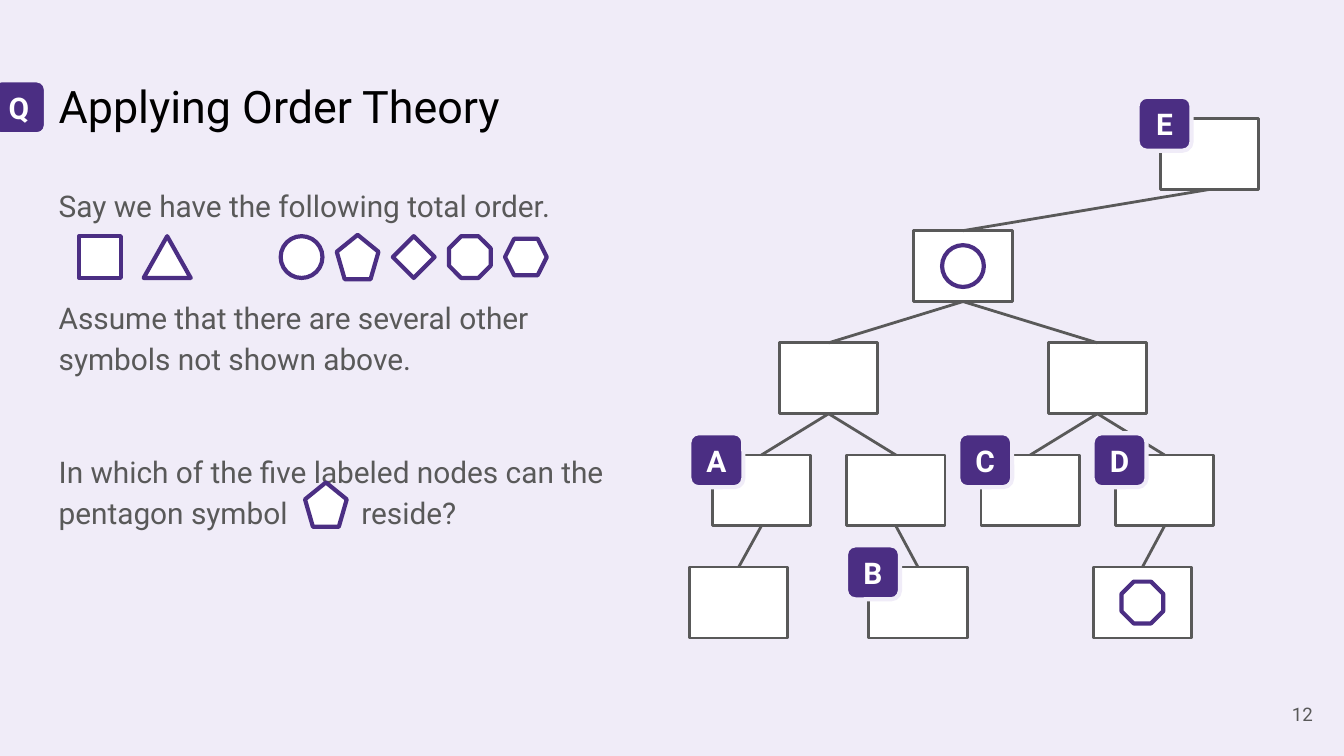
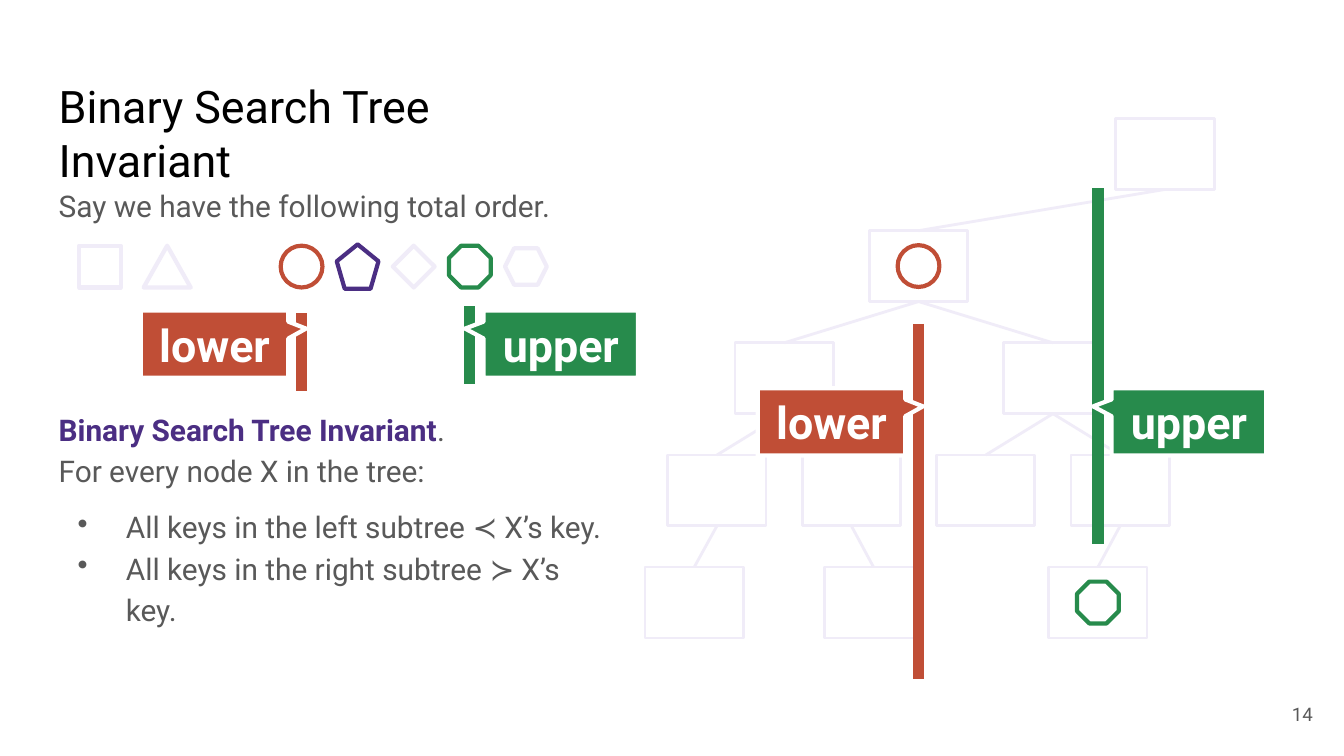
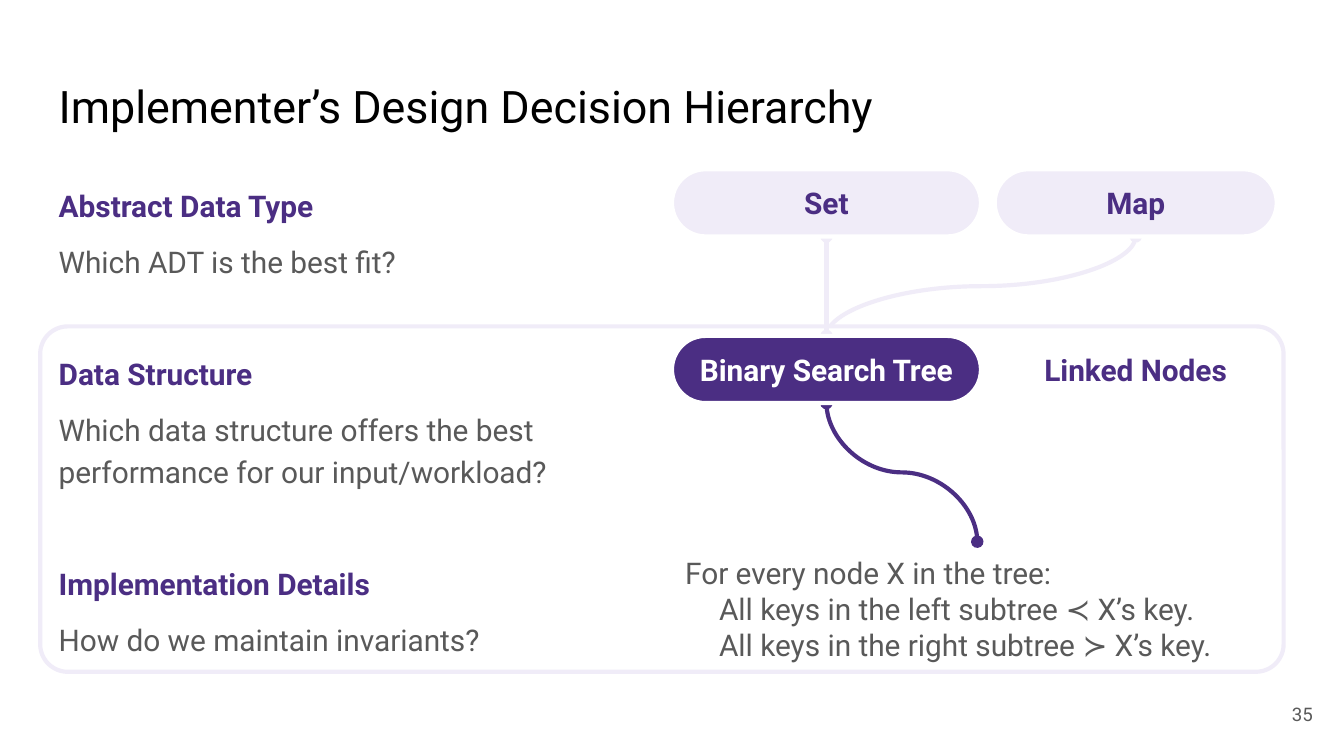
import pptx
import pptx.dml.color
import pptx.enum.shapes
import pptx.enum.text
import pptx.oxml
import pptx.oxml.ns
import pptx.util
from lxml import etree

Cm, Pt = pptx.util.Cm, pptx.util.Pt
SHAPE = pptx.enum.shapes.MSO_SHAPE
CONNECTOR = pptx.enum.shapes.MSO_CONNECTOR
ALIGN = pptx.enum.text.PP_ALIGN
ANCHOR = pptx.enum.text.MSO_ANCHOR
qn = pptx.oxml.ns.qn

# Shared style
FONT = "Roboto"
COLORS = {
    "purple": "4B2E83", "lavender": "F0ECF8", "gray": "595959",
    "red": "C04E36", "green": "278B4C", "white": "FFFFFF", "black": "000000",
}
INSET = 0.25
LEFT, BODY_TOP, HALF_WIDTH, FULL_WIDTH = 0.86, 3.2, 10.97, 23.39
GAP, BLANK_LINE = 8, 30  # points

# Symbols in their total order: preset, width, height, centre in the row
SYMBOLS = {
    "square": (SHAPE.RECTANGLE, 0.79, 0.79, 1.89),
    "triangle": (SHAPE.ISOSCELES_TRIANGLE, 0.89, 0.79, 3.16),
}
for place, (symbol_name, preset, height) in enumerate([
        ("circle", SHAPE.OVAL, 0.79), ("pentagon", SHAPE.REGULAR_PENTAGON, 0.84),
        ("diamond", SHAPE.DIAMOND, 0.79), ("octagon", SHAPE.OCTAGON, 0.79),
        ("hexagon", SHAPE.HEXAGON, 0.69)]):
    SYMBOLS[symbol_name] = (preset, 0.79, height, 5.7 + place * 1.06)

# Tree nodes: offset from the circle's column, level, parent
TREE = {
    "E": (4.66, 0, None),
    "circle": (0, 1, "E"),
    "left": (-2.54, 2, "circle"),
    "right": (2.54, 2, "circle"),
    "A": (-3.81, 3, "left"),
    "left inner": (-1.27, 3, "left"),
    "C": (1.27, 3, "right"),
    "D": (3.81, 3, "right"),
    "A child": (-4.24, 4, "A"),
    "B": (-0.85, 4, "left inner"),
    "octagon": (3.39, 4, "D"),
}
NODE_WIDTH, NODE_HEIGHT, TREE_TOP, LEVEL_PITCH = 1.86, 1.34, 2.24, 2.12


def rgb(color):
    return pptx.dml.color.RGBColor.from_string(COLORS[color])


def add_run(paragraph, text, size, color, bold=False):
    run = paragraph.add_run()
    run.text = text
    run.font.name = FONT
    run.font.size = Pt(size)
    run.font.bold = bold
    run.font.color.rgb = rgb(color)


def prepare_frame(frame, anchor=ANCHOR.TOP):
    frame.word_wrap = True
    frame.vertical_anchor = anchor
    frame.margin_left = frame.margin_right = Cm(INSET)
    frame.margin_top = frame.margin_bottom = Cm(INSET)
    return frame


def add_text_box(slide, left, top, width, height, anchor=ANCHOR.TOP):
    box = slide.shapes.add_textbox(Cm(left), Cm(top), Cm(width), Cm(height))
    return prepare_frame(box.text_frame, anchor)


def next_paragraph(frame):
    first = frame.paragraphs[0]
    return frame.add_paragraph() if first.runs else first


def indent(paragraph, left, hanging=0):
    properties = paragraph._p.get_or_add_pPr()
    properties.set("marL", str(Cm(left)))
    properties.set("indent", str(-Cm(hanging)))
    return properties


def add_body_line(frame, text, color="gray", bold=False, before=GAP):
    paragraph = next_paragraph(frame)
    paragraph.line_spacing = 1.15
    paragraph.space_before = Pt(before if paragraph is not frame.paragraphs[0]
                               and len(frame.paragraphs) > 1 else 0)
    add_run(paragraph, text, 16, color, bold)
    return paragraph


def add_bullet(frame, text, before):
    paragraph = add_body_line(frame, text, before=before)
    properties = indent(paragraph, 1.27, 0.91)
    bullet_color = etree.SubElement(properties, qn("a:buClr"))
    etree.SubElement(bullet_color, qn("a:srgbClr"), val=COLORS["gray"])
    etree.SubElement(properties, qn("a:buChar"), char="•")


def add_tab_stop(paragraph, position):
    tabs = etree.SubElement(paragraph._p.get_or_add_pPr(), qn("a:tabLst"))
    etree.SubElement(tabs, qn("a:tab"), pos=str(Cm(position)), algn="l")


def add_figure(slide, preset, left, top, width, height, fill, line, weight=2.25):
    figure = slide.shapes.add_shape(preset, Cm(left), Cm(top), Cm(width), Cm(height))
    figure.shadow.inherit = False
    figure.fill.solid()
    figure.fill.fore_color.rgb = rgb(fill)
    figure.line.color.rgb = rgb(line)
    figure.line.width = Pt(weight)
    return figure


def add_label(figure, text, size=16, color="white"):
    paragraph = prepare_frame(figure.text_frame, ANCHOR.MIDDLE).paragraphs[0]
    paragraph.alignment = ALIGN.CENTER
    add_run(paragraph, text, size, color, bold=True)


def add_line(slide, kind, x1, y1, x2, y2, color, weight):
    line = slide.shapes.add_connector(kind, Cm(x1), Cm(y1), Cm(x2), Cm(y2))
    line.line.color.rgb = rgb(color)
    line.line.width = Pt(weight)
    etree.SubElement(line._element.spPr, qn("a:effectLst"))
    return line


def add_drop_curve(slide, x1, y1, x2, y2, color):
    """S-curve that leaves its upper end and meets its lower end vertically."""
    mid_x, mid_y = (x1 + x2) / 2, (y1 + y2) / 2
    half_drop, half_shift = (y2 - y1) / 2, (x2 - x1) / 2
    curve = add_line(slide, CONNECTOR.CURVE, mid_x - half_drop, mid_y + half_shift,
                     mid_x + half_drop, mid_y - half_shift, color, 2.25)
    curve._element.spPr.xfrm.set("rot", "5400000")
    outline = curve.line._get_or_add_ln()
    for end in ("a:headEnd", "a:tailEnd"):
        etree.SubElement(outline, qn(end), type="oval")


def add_symbol(slide, name, center_x, center_y, line="purple"):
    preset, width, height, _ = SYMBOLS[name]
    add_figure(slide, preset, center_x - width / 2, center_y - height / 2,
               width, height, "white", line)


def add_total_order(slide, center_y, default, highlights=None):
    for name, (_, _, _, center_x) in SYMBOLS.items():
        add_symbol(slide, name, center_x, center_y, (highlights or {}).get(name, default))


def add_badge(slide, letter, left, top):
    badge = add_figure(slide, SHAPE.ROUNDED_RECTANGLE, left, top, 1.02, 1.02,
                       "purple", "lavender")
    add_label(badge, letter)


def node_corner(name, center_x):
    offset, level, _ = TREE[name]
    return center_x + offset - NODE_WIDTH / 2, TREE_TOP + level * LEVEL_PITCH


def add_tree(slide, center_x, color, symbol_colors):
    nodes = {}
    for name, (_, _, parent) in TREE.items():
        left, top = node_corner(name, center_x)
        nodes[name] = add_figure(slide, SHAPE.RECTANGLE, left, top, NODE_WIDTH,
                                 NODE_HEIGHT, "white", color, 1.5)
        if parent:
            edge = add_line(slide, CONNECTOR.STRAIGHT, 0, 0, 1, 1, color, 1.5)
            edge.begin_connect(nodes[parent], 2)
            edge.end_connect(nodes[name], 0)
    for name, symbol_color in symbol_colors.items():
        left, top = node_corner(name, center_x)
        add_symbol(slide, name, left + NODE_WIDTH / 2, top + NODE_HEIGHT / 2, symbol_color)


def add_bound(slide, text, x, bar_top, bar_bottom, label_top):
    """Vertical bar with a callout on the excluded side."""
    color, width, side = {"lower": ("red", 2.79, 1), "upper": ("green", 2.92, -1)}[text]
    add_line(slide, CONNECTOR.STRAIGHT, x, bar_top, x, bar_bottom, color, 6)
    left = x - 0.25 - width if side == 1 else x + 0.26
    callout = add_figure(slide, SHAPE.ROUNDED_RECTANGULAR_CALLOUT, left, label_top,
                         width, 1.27, color, "white")
    for index, value in enumerate((0.62 * side, -0.23, 0)):
        callout.adjustments[index] = value
    add_label(callout, text, 24)


def add_pill(slide, text, left, top, width, fill, color):
    pill = add_figure(slide, SHAPE.ROUNDED_RECTANGLE, left, top, width, 1.27, fill, "white")
    pill.adjustments[0] = 0.5
    add_label(pill, text, color=color)


def start_slide(deck, title, number, background="white", title_width=HALF_WIDTH):
    slide = deck.slides.add_slide(deck.slide_layouts[5])
    slide.background.fill.solid()
    slide.background.fill.fore_color.rgb = rgb(background)
    heading = slide.shapes.title
    heading.left, heading.top = Cm(LEFT), Cm(1.24)
    heading.width, heading.height = Cm(title_width), Cm(1.6)
    frame = prepare_frame(heading.text_frame)
    frame.auto_size = pptx.enum.text.MSO_AUTO_SIZE.NONE
    frame.paragraphs[0].alignment = ALIGN.LEFT
    add_run(frame.paragraphs[0], title, 24, "black")
    page_number = add_text_box(slide, 23.54, 12.96, 1.52, 1.09, ANCHOR.MIDDLE).paragraphs[0]
    page_number.alignment = ALIGN.RIGHT
    add_run(page_number, number, 10, "gray")
    return slide


def add_body(slide):
    return add_text_box(slide, LEFT, BODY_TOP, HALF_WIDTH, 9.5)


def build_question(deck):
    slide = start_slide(deck, "Applying Order Theory", "12", "lavender")
    body = add_body(slide)
    add_body_line(body, "Say we have the following total order.")
    add_body_line(body, "Assume that there are several other symbols not shown above.",
                  before=GAP + BLANK_LINE)
    question = add_body_line(
        body, "In which of the five labeled nodes can the pentagon symbol\treside?",
        before=GAP + BLANK_LINE)
    add_tab_stop(question, 5.72)
    add_badge(slide, "Q", -0.15, 1.52)
    add_total_order(slide, 4.86, "purple")
    add_symbol(slide, "pentagon", 6.16, 9.54)

    # Tree with its candidate nodes
    tree_center = 18.2
    add_tree(slide, tree_center, "gray", {"circle": "purple", "octagon": "purple"})
    for letter in "ABCDE":
        left, top = node_corner(letter, tree_center)
        add_badge(slide, letter, left - 0.43, top - 0.41)


def build_invariant(deck):
    slide = start_slide(deck, "Binary Search Tree Invariant", "14")
    body = add_body(slide)
    add_body_line(body, "Say we have the following total order.")
    invariant = add_body_line(body, "Binary Search Tree Invariant", "purple", True,
                              before=GAP + 3 * BLANK_LINE)
    add_run(invariant, ".", 16, "gray")
    invariant.add_line_break()
    add_run(invariant, "For every node X in the tree:", 16, "gray")
    add_bullet(body, "All keys in the left subtree ≺ X’s key.", GAP)
    add_bullet(body, "All keys in the right subtree ≻ X’s key.", 0)

    add_total_order(slide, 5.04, "lavender",
                    {"circle": "red", "pentagon": "purple", "octagon": "green"})
    tree_center = 17.36
    add_tree(slide, tree_center, "lavender", {"circle": "red", "octagon": "green"})

    # Bounds in the order and in the tree
    add_bound(slide, "lower", SYMBOLS["circle"][3], 5.92, 7.39, 5.87)
    add_bound(slide, "upper", SYMBOLS["octagon"][3], 5.79, 7.26, 5.87)
    add_bound(slide, "lower", tree_center, 6.12, 12.83, 7.34)
    add_bound(slide, "upper", tree_center + TREE["octagon"][0], 3.56, 10.29, 7.34)


def build_hierarchy(deck):
    slide = start_slide(deck, "Implementer’s Design Decision Hierarchy", "35",
                        title_width=FULL_WIDTH)
    pill_left, pill_width, side_left, side_width = 12.7, 5.84, 18.8, 5.33
    type_top, structure_top, pill_height = 3.2, 6.35, 1.27
    pill_center = pill_left + pill_width / 2

    # Links and frame
    add_drop_curve(slide, side_left + side_width / 2, type_top + pill_height,
                   pill_center, structure_top, "lavender")
    frame = add_figure(slide, SHAPE.ROUNDED_RECTANGLE, 0.76, 6.17, 23.5, 6.53,
                       "white", "lavender")
    frame.adjustments[0] = 0.08
    add_drop_curve(slide, pill_center, structure_top + pill_height, 18.47, 10.24, "purple")
    add_drop_curve(slide, pill_center, type_top + pill_height,
                   pill_center, structure_top, "lavender")

    # Questions
    body = add_body(slide)
    for index, (heading, question) in enumerate([
            ("Abstract Data Type", "Which ADT is the best fit?"),
            ("Data Structure",
             "Which data structure offers the best performance for our input/workload?"),
            ("Implementation Details", "How do we maintain invariants?")]):
        add_body_line(body, heading, "purple", True, GAP + BLANK_LINE if index else 0)
        add_body_line(body, question)

    # Choices
    add_pill(slide, "Set", pill_left, type_top, pill_width, "lavender", "purple")
    add_pill(slide, "Map", side_left, type_top, side_width, "lavender", "purple")
    add_pill(slide, "Binary Search Tree", pill_left, structure_top, pill_width,
             "purple", "white")
    add_pill(slide, "Linked Nodes", side_left, structure_top, side_width, "white", "purple")

    details = add_text_box(slide, pill_left, 10.24, 11.56, 2.54)
    for text, left in [("For every node X in the tree:", 0),
                       ("All keys in the left subtree ≺ X’s key.", 0.64),
                       ("All keys in the right subtree ≻ X’s key.", 0.64)]:
        paragraph = next_paragraph(details)
        indent(paragraph, left)
        add_run(paragraph, text, 16, "gray")


def main():
    deck = pptx.Presentation()
    deck.slide_width, deck.slide_height = Cm(25.4), Cm(14.29)
    build_question(deck)
    build_invariant(deck)
    build_hierarchy(deck)
    deck.save("out.pptx")


if __name__ == "__main__":
    main()
